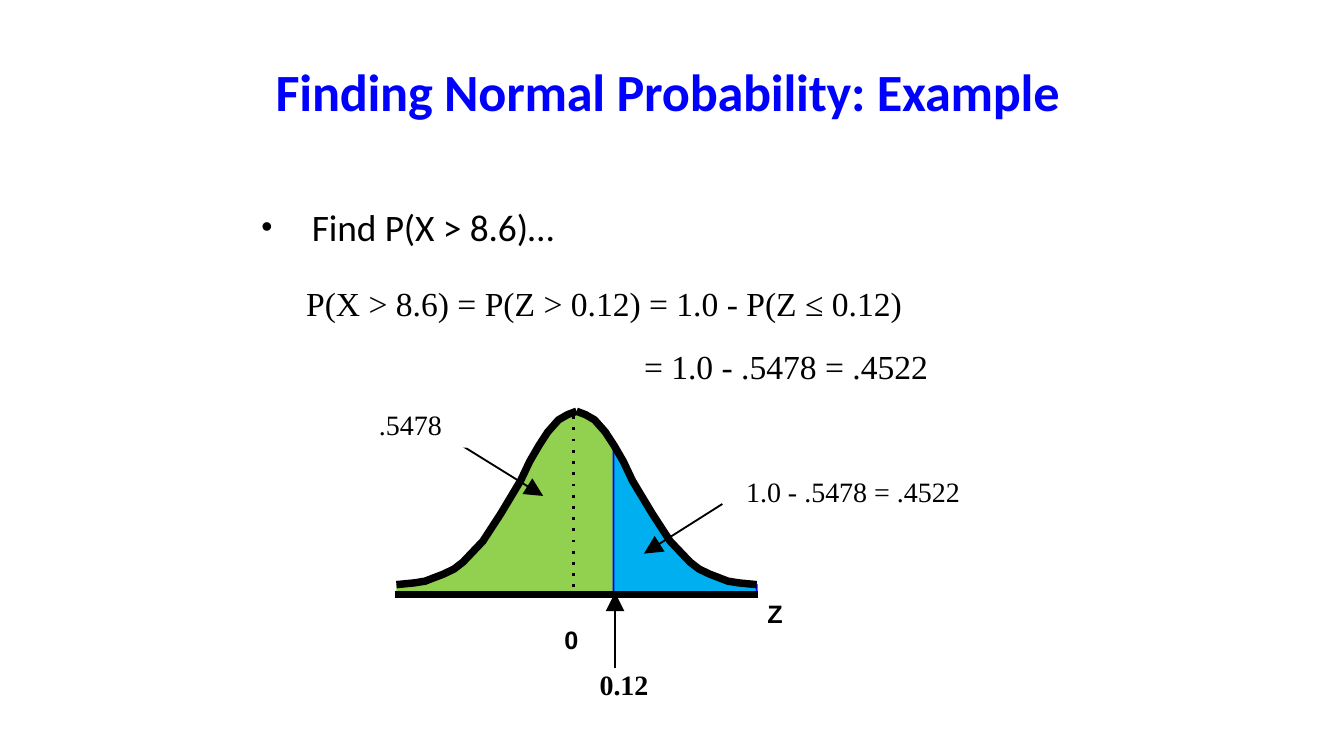
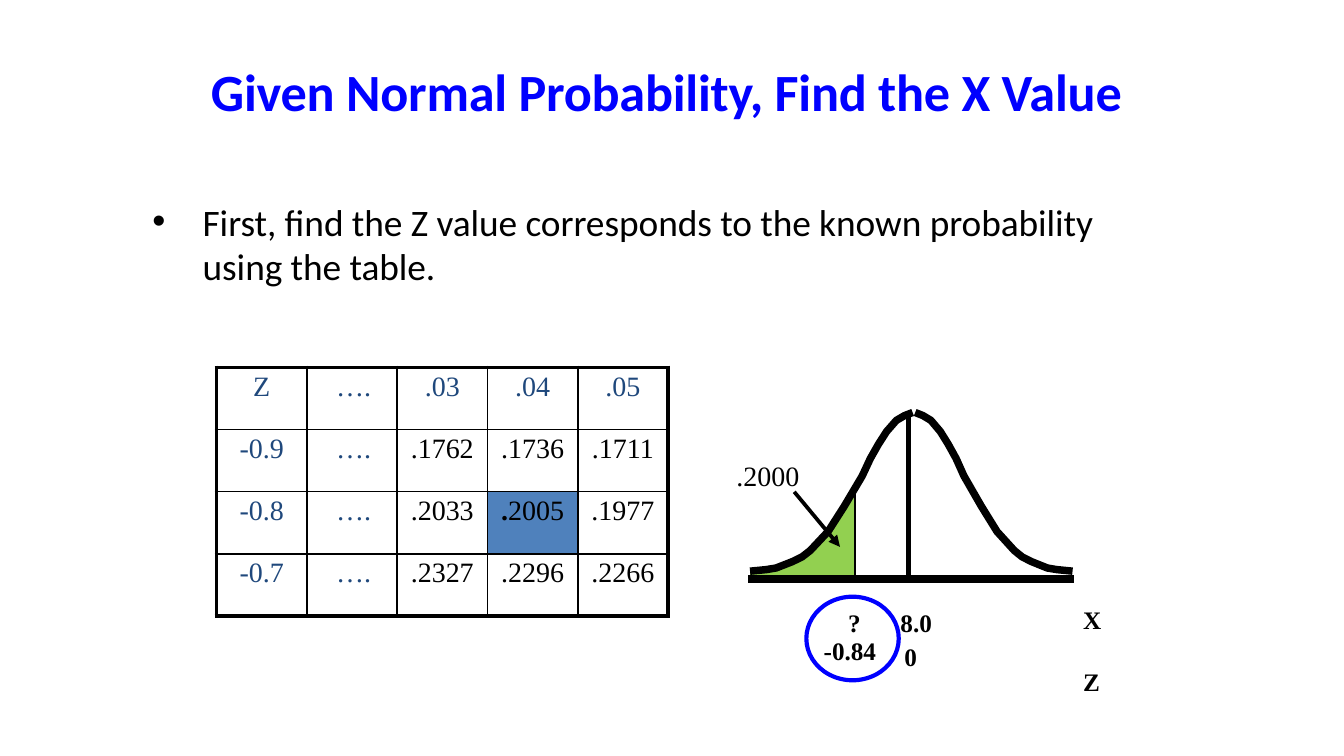
from dataclasses import dataclass
from typing import NamedTuple, Optional

from lxml import etree
from pptx import Presentation
from pptx.dml.color import RGBColor
from pptx.enum.shapes import MSO_CONNECTOR, MSO_SHAPE
from pptx.enum.text import PP_ALIGN
from pptx.oxml.ns import qn
from pptx.util import Pt

STRAIGHT = MSO_CONNECTOR.STRAIGHT
OVAL = MSO_SHAPE.OVAL
LEFT, CENTER, RIGHT = PP_ALIGN.LEFT, PP_ALIGN.CENTER, PP_ALIGN.RIGHT
BLANK_LAYOUT = 6


@dataclass(frozen=True)
class Theme:
    black: str = "000000"
    white: str = "FFFFFF"
    blue: str = "0000FF"
    green: str = "92D050"
    cyan: str = "00AFEF"
    navy: str = "1F487C"
    steel: str = "4F81BC"
    sans: str = "Calibri"
    serif: str = "Times New Roman"
    axis: str = "Arial"
    title_size: float = 28
    body_size: float = 20
    formula_size: float = 18
    value_size: float = 15
    mark_size: float = 13.5
    curve_width: float = 4
    frame_width: float = 2.25


THEME = Theme()


class Point(NamedTuple):
    x: float
    y: float


class Box(NamedTuple):
    left: float
    top: float
    width: float
    height: float


@dataclass(frozen=True)
class Label:
    text: str
    box: Box
    size: float = THEME.mark_size
    font: str = THEME.serif
    bold: bool = True
    fill: Optional[str] = None
    inset: float = 0.7


@dataclass(frozen=True)
class Arrow:
    start: Point
    end: Point
    width: float = 1
    head: str = "lg"


PROFILE = [
    Point(0, 0), Point(0.1, 0.01), Point(0.16, 0.02), Point(0.21, 0.04),
    Point(0.26, 0.06), Point(0.32, 0.09), Point(0.37, 0.13), Point(0.48, 0.25),
    Point(0.58, 0.41), Point(0.69, 0.6), Point(0.74, 0.71), Point(0.79, 0.8),
    Point(0.84, 0.88), Point(0.9, 0.95), Point(0.95, 0.98), Point(1, 1),
]


@dataclass(frozen=True)
class Bell:
    left: float
    peak: float
    right: float
    top: float
    bottom: float
    base: float
    gap: float = 0

    def side(self, foot: float, crest: float) -> list[Point]:
        return [Point(foot + (crest - foot) * step.x,
                      self.bottom - (self.bottom - self.top) * step.y)
                for step in PROFILE]

    def halves(self) -> list[list[Point]]:
        return [self.side(self.left, self.peak - self.gap / 2),
                self.side(self.right, self.peak + self.gap / 2)]

    def height_at(self, x: float) -> float:
        rising, falling = self.halves()
        curve = rising + falling[::-1]
        for first, last in zip(curve, curve[1:]):
            if first.x <= x <= last.x and first.x < last.x:
                return first.y + (last.y - first.y) * (x - first.x) / (last.x - first.x)
        return self.bottom

    def area(self, start: float, end: float) -> list[Point]:
        rising, falling = self.halves()
        inner = [spot for spot in rising + falling[::-1] if start < spot.x < end]
        return [Point(start, self.base), Point(start, self.height_at(start)), *inner,
                Point(end, self.height_at(end)), Point(end, self.base)]


def color(code: str) -> RGBColor:
    return RGBColor.from_string(code)


def add_child(parent, tag: str, **values: str):
    child = etree.SubElement(parent, qn(tag))
    for key, value in values.items():
        child.set(key, value)
    return child


def write(para, text: str, *, size: float, font: str = THEME.serif,
          ink: str = THEME.black, bold: bool = False, spacing: float = 0,
          align: PP_ALIGN = LEFT, before: float = 0, margin: float = 0,
          hanging: float = 0, bullet_scale: int = 0) -> None:
    para.alignment = align
    para.space_before = Pt(before)
    properties = para._p.get_or_add_pPr()
    properties.set("marL", str(Pt(margin)))
    properties.set("indent", str(Pt(-hanging)))
    if bullet_scale:
        add_child(properties, "a:buSzPct", val=str(bullet_scale * 1000))
        add_child(properties, "a:buFont", typeface=THEME.axis)
        add_child(properties, "a:buChar", char="•")
    span = para.add_run()
    span.text = text
    span.font.size = Pt(size)
    span.font.name = font
    span.font.bold = bold
    span.font.color.rgb = color(ink)
    if spacing:
        span._r.get_or_add_rPr().set("spc", str(round(spacing * 100)))


def add_frame(page, box: Box, wrap: bool = False, inset: float = 0,
              top: float = 1.5, fill: Optional[str] = None):
    shape = page.shapes.add_textbox(*map(Pt, box))
    frame = shape.text_frame
    frame.word_wrap = wrap
    frame.margin_left, frame.margin_top = Pt(inset), Pt(top)
    frame.margin_right = frame.margin_bottom = 0
    if fill:
        shape.fill.solid()
        shape.fill.fore_color.rgb = color(fill)
    return frame


def add_title(page, text: str, box: Box) -> None:
    write(add_frame(page, box, inset=0.7).paragraphs[0], text, size=THEME.title_size,
          font=THEME.sans, ink=THEME.blue, bold=True, spacing=-0.1)


def add_bullet(frame, text: str, scale: int) -> None:
    write(frame.paragraphs[0], text, size=THEME.body_size, font=THEME.sans,
          margin=28, hanging=27, bullet_scale=scale, spacing=-0.05)


def add_label(page, label: Label) -> None:
    frame = add_frame(page, label.box, inset=label.inset, fill=label.fill,
                      top=2.5 if label.fill else 1.5)
    write(frame.paragraphs[0], label.text, size=label.size, font=label.font,
          bold=label.bold)


def add_line(page, start: Point, end: Point, width: float,
             dash: Optional[str] = None, head: Optional[str] = None) -> None:
    line = page.shapes.add_connector(STRAIGHT, *map(Pt, (*start, *end)))
    line.line.color.rgb = color(THEME.black)
    line.line.width = Pt(width)
    outline = line._element.spPr.get_or_add_ln()
    if dash:
        add_child(outline, "a:prstDash", val=dash)
    if head:
        add_child(outline, "a:tailEnd", type="triangle", w=head, len=head)
    add_child(line._element.spPr, "a:effectLst")


def add_arrow(page, arrow: Arrow) -> None:
    add_line(page, arrow.start, arrow.end, arrow.width, head=arrow.head)


def add_outline(page, points: list[Point], fill: Optional[str] = None,
                ink: Optional[str] = None, width: float = 1) -> None:
    spots = [(Pt(spot.x), Pt(spot.y)) for spot in points]
    builder = page.shapes.build_freeform(*spots[0])
    builder.add_line_segments(spots[1:], close=bool(fill))
    style(builder.convert_to_shape(), fill, ink, width)


def style(shape, fill: Optional[str], ink: Optional[str], width: float) -> None:
    shape.shadow.inherit = False
    if fill:
        shape.fill.solid()
        shape.fill.fore_color.rgb = color(fill)
    else:
        shape.fill.background()
    if ink:
        shape.line.color.rgb = color(ink)
        shape.line.width = Pt(width)
    else:
        shape.line.fill.background()


def add_bell(page, bell: Bell) -> None:
    for half in bell.halves():
        add_outline(page, half, ink=THEME.black, width=THEME.curve_width)
    add_line(page, Point(bell.left - 1, bell.base), Point(bell.right + 0.7, bell.base),
             THEME.curve_width)


def add_border(cell, side: str, width: float) -> None:
    edge = add_child(cell._tc.get_or_add_tcPr(), f"a:ln{side}", w=str(Pt(width)))
    add_child(add_child(edge, "a:solidFill"), "a:srgbClr", val=THEME.black)


def add_z_table(page, rows: list[list[str]], spot: Point, cell_width: float,
                cell_height: float, marked: str) -> None:
    height, width = len(rows), len(rows[0])
    table = page.shapes.add_table(height, width, Pt(spot.x), Pt(spot.y),
                                  Pt(cell_width * width), Pt(cell_height * height)).table
    table.first_row = table.horz_banding = False
    for column in table.columns:
        column.width = Pt(cell_width)
    for row_index, row in enumerate(rows):
        table.rows[row_index].height = Pt(cell_height)
        for column_index, text in enumerate(row):
            cell = table.cell(row_index, column_index)
            dots = column_index == 1
            cell.margin_left = cell.margin_bottom = 0
            cell.margin_right = Pt(14 if dots else 0)
            cell.margin_top = Pt(2.2)
            outer = {"L": column_index == 0, "R": column_index == width - 1,
                     "T": row_index == 0, "B": row_index == height - 1}
            for side, thick in outer.items():
                add_border(cell, side, THEME.frame_width if thick else 1)
            heading = row_index == 0 or column_index < 2
            para = cell.text_frame.paragraphs[0]
            look = dict(size=THEME.value_size, align=RIGHT if dots else CENTER,
                        ink=THEME.navy if heading else THEME.black)
            if text == marked:
                cell.fill.solid()
                cell.fill.fore_color.rgb = color(THEME.steel)
                write(para, text[0], bold=True, **look)
                write(para, text[1:], **look)
            else:
                cell.fill.background()
                write(para, text, **look)


def build_probability_page(page) -> None:
    add_title(page, "Finding Normal Probability: Example", Box(147, 30, 426, 35))
    frame = add_frame(page, Box(139, 108, 359, 99), wrap=True)
    add_bullet(frame, "Find P(X > 8.6)…", 85)
    write(frame.add_paragraph(), "P(X > 8.6) = P(Z > 0.12) = 1.0 - P(Z ≤ 0.12)",
          size=THEME.formula_size, before=18, margin=25)
    write(frame.add_paragraph(), "= 1.0 - .5478 = .4522",
          size=THEME.formula_size, before=12, margin=206)

    bell = Bell(left=212.4, peak=308.9, right=405.4, top=220.3, bottom=313.2, base=318.6)
    cut = 328.7
    add_outline(page, bell.area(bell.left, cut), fill=THEME.green)
    add_outline(page, bell.area(cut, bell.right), fill=THEME.cyan, ink=THEME.blue)
    add_arrow(page, Arrow(Point(247.4, 238.7), Point(291, 265.7)))
    add_arrow(page, Arrow(Point(387, 270), Point(345, 296.6)))
    add_bell(page, bell)
    add_arrow(page, Arrow(Point(329.5, 358), Point(329.5, 317.5)))
    add_line(page, Point(307.4, 223), Point(307.4, 317.5), 1.5, dash="dot")
    labels = [
        Label("Z", Box(410.4, 319, 10, 18), font=THEME.axis),
        Label("0", Box(301.7, 333, 10, 18), font=THEME.axis),
        Label("0.12", Box(320.5, 356, 28, 19), size=THEME.value_size),
        Label(".5478", Box(188.6, 216, 62, 23.8), THEME.value_size, bold=False,
              fill=THEME.white, inset=14.4),
        Label("1.0 - .5478 = .4522", Box(391.7, 252, 130.3, 23.8), THEME.value_size,
              bold=False, fill=THEME.white, inset=8),
    ]
    for label in labels:
        add_label(page, label)


def build_value_page(page) -> None:
    add_title(page, "Given Normal Probability, Find the X Value", Box(112.3, 30, 495.4, 35))
    frame = add_frame(page, Box(80.6, 105, 511, 50.4), wrap=True)
    add_bullet(frame, "First, find the Z value corresponds to the known probability "
                      "using the table.", 100)
    rows = [
        ["Z", "….", ".03", ".04", ".05"],
        ["-0.9", "….", ".1762", ".1736", ".1711"],
        ["-0.8", "….", ".2033", ".2005", ".1977"],
        ["-0.7", "….", ".2327", ".2296", ".2266"],
    ]
    add_z_table(page, rows, Point(116, 196.8), 48.4, 33.3, marked=".2005")

    bell = Bell(left=401.8, peak=489.6, right=574.6, top=221, bottom=306, base=310.3,
                gap=1.4)
    cut = 458
    add_outline(page, bell.area(bell.left, cut), fill=THEME.green)
    add_line(page, Point(cut, bell.height_at(cut)), Point(cut, bell.base), 1)
    add_arrow(page, Arrow(Point(425.5, 263.5), Point(450, 293), 2, "med"))
    add_line(page, Point(486.7, bell.top), Point(486.7, bell.base), 2.5)
    add_bell(page, bell)
    labels = [
        Label("?", Box(453.6, 324, 10, 18)),
        Label("8.0", Box(481.7, 324, 18, 18)),
        Label(".2000", Box(393.8, 244, 36, 20), THEME.value_size, bold=False),
        Label("X", Box(579.6, 322, 11.5, 18)),
        Label("Z", Box(579.6, 355.6, 11.5, 18)),
        Label("-0.84", Box(440.6, 338.9, 30, 18)),
        Label("0", Box(483.8, 342, 9, 18)),
    ]
    for label in labels:
        add_label(page, label)
    ring = page.shapes.add_shape(OVAL, *map(Pt, Box(432, 319.7, 49.5, 44.8)))
    style(ring, None, THEME.blue, THEME.frame_width)


def main() -> None:
    deck = Presentation()
    deck.slide_width, deck.slide_height = Pt(720), Pt(405)
    for build in (build_probability_page, build_value_page):
        build(deck.slides.add_slide(deck.slide_layouts[BLANK_LAYOUT]))
    deck.save("out.pptx")


if __name__ == "__main__":
    main()
